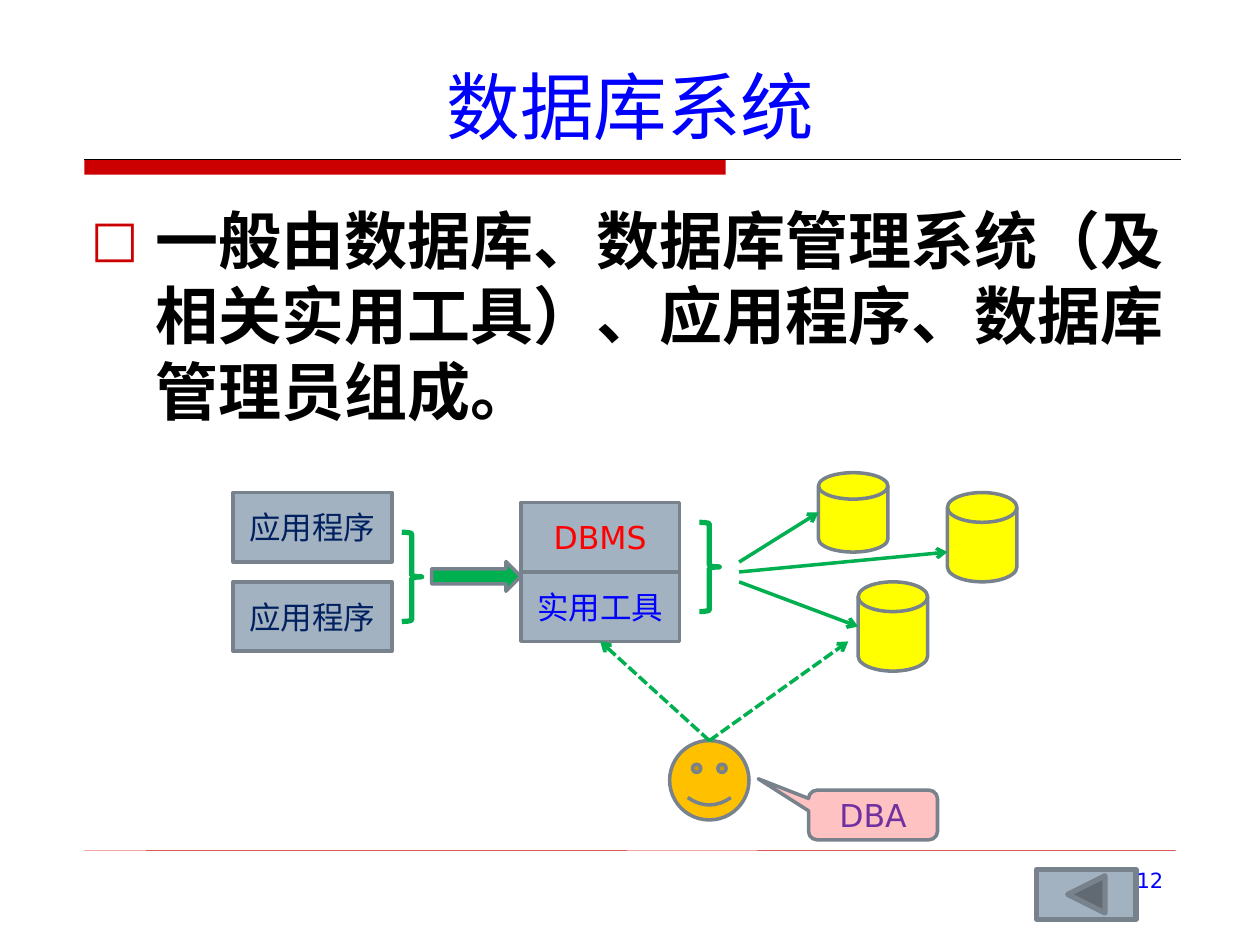
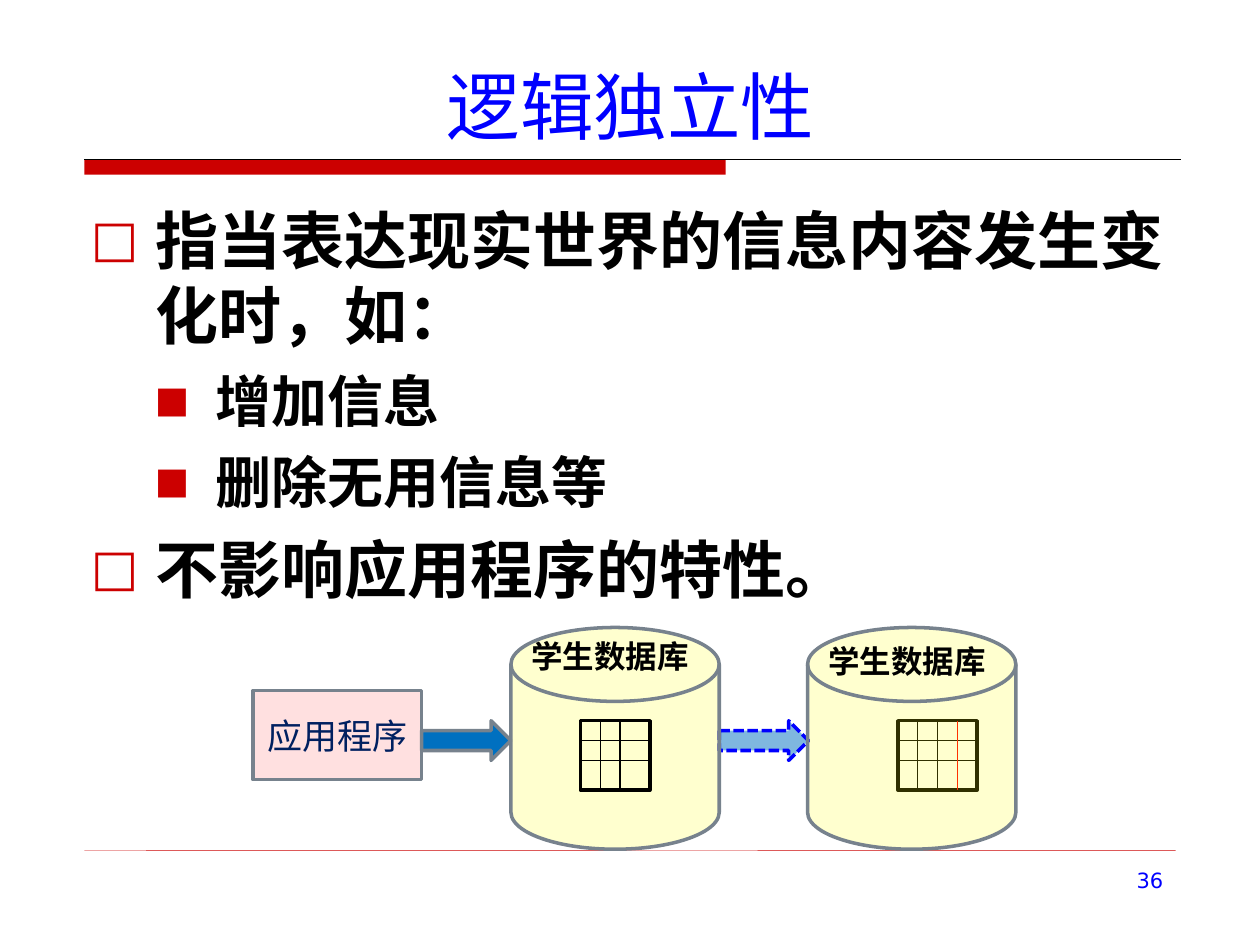
from lxml import etree
from pptx import Presentation
from pptx import util as u
from pptx.dml.color import RGBColor
from pptx.enum import dml, shapes, text
from pptx.oxml.ns import qn

Cm, Pt = u.Cm, u.Pt
KIND = shapes.MSO_SHAPE
ALIGN = text.PP_ALIGN
ANCHOR = text.MSO_ANCHOR
DASH = dml.MSO_LINE.SQUARE_DOT

RED = RGBColor(0xCC, 0x00, 0x00)
BRIGHT = RGBColor(0xFF, 0x00, 0x00)
BLUE = RGBColor(0x00, 0x00, 0xFF)
AZURE = RGBColor(0x00, 0x70, 0xC0)
NAVY = RGBColor(0x00, 0x20, 0x60)
BLACK = RGBColor(0x00, 0x00, 0x00)
STEEL = RGBColor(0xA3, 0xB2, 0xC1)
SLATE = RGBColor(0x77, 0x82, 0x8D)
GREEN = RGBColor(0x00, 0xB0, 0x50)
YELLOW = RGBColor(0xFF, 0xFF, 0x00)
AMBER = RGBColor(0xFF, 0xC0, 0x00)
PINK = RGBColor(0xFF, 0xC2, 0xC2)
PURPLE = RGBColor(0x70, 0x30, 0xA0)

HAN = "Noto Sans CJK SC"
LATIN = "DejaVu Sans"

LEVELS = [
    dict(size=36, before=9, left=1.3, hang=1.4, mark="□", scale=80),
    dict(size=32, before=8, left=2.51, hang=1.22, mark="■", scale=65),
]


def add_xml(parent, tag, **attrs):
    return etree.SubElement(parent, qn(tag), attrs)


def style(para, size, color, name=HAN, bold=False, align=ALIGN.CENTER):
    para.alignment = align
    font = para.font
    font.size, font.bold, font.name = Pt(size), bold, name
    font.color.rgb = color
    add_xml(para._p.pPr.find(qn("a:defRPr")), "a:ea", typeface=name)


def bullet(para, level):
    props = para._p.pPr
    props.set("marL", str(Cm(level["left"])))
    props.set("indent", str(-Cm(level["hang"])))
    color = etree.Element(qn("a:buClr"))
    add_xml(color, "a:srgbClr", val=str(RED))
    marks = [color]
    for tag, key, value in (
        ("a:buSzPct", "val", str(level["scale"] * 1000)),
        ("a:buFont", "typeface", LATIN),
        ("a:buChar", "char", level["mark"]),
    ):
        marks.append(etree.Element(qn(tag), {key: value}))
    fonts = props.find(qn("a:defRPr"))
    for mark in marks:
        fonts.addprevious(mark)


def place(item, left, top, width, height):
    item.left, item.top = Cm(left), Cm(top)
    item.width, item.height = Cm(width), Cm(height)


def title(slide, words):
    item = slide.shapes.title
    place(item, 1.59, 0.84, 22.23, 2.29)
    frame = item.text_frame
    frame.text = words
    frame.auto_size = text.MSO_AUTO_SIZE.NONE
    frame.vertical_anchor = ANCHOR.BOTTOM
    style(frame.paragraphs[0], 42, BLUE)


def body(slide, height, items):
    item = slide.placeholders[1]
    place(item, 1.58, 3.93, 22.23, height)
    frame = item.text_frame
    frame.text = "\n".join(words for _, words in items)
    frame.auto_size = text.MSO_AUTO_SIZE.NONE
    for para, (depth, _) in zip(frame.paragraphs, items):
        level = LEVELS[depth]
        para.level = depth
        para.space_before = Pt(level["before"])
        style(para, level["size"], BLACK, bold=True, align=ALIGN.LEFT)
        bullet(para, level)


def shape(slide, kind, box, fill=None, line=SLATE, weight=2, alpha=None):
    item = slide.shapes.add_shape(kind, *map(Cm, box))
    item.shadow.inherit = False
    if fill is None:
        item.fill.background()
    else:
        item.fill.solid()
        item.fill.fore_color.rgb = fill
    if alpha:
        color = item._element.spPr.find(qn("a:solidFill"))[0]
        add_xml(color, "a:alpha", val=str(alpha * 1000))
    if line is None:
        item.line.fill.background()
    else:
        item.line.color.rgb = line
        item.line.width = Pt(weight)
    return item


def label(item, words, color, size=18, name=HAN):
    frame = item.text_frame
    frame.text = words
    frame.vertical_anchor = ANCHOR.MIDDLE
    style(frame.paragraphs[0], size, color, name)


def note(slide, box, words, size, color, **looks):
    item = slide.shapes.add_textbox(*map(Cm, box))
    frame = item.text_frame
    frame.word_wrap = True
    frame.text = words
    style(frame.paragraphs[0], size, color, **looks)
    return frame


def line(slide, start, end, color, weight, arrow=False, dash=None):
    item = slide.shapes.add_connector(
        shapes.MSO_CONNECTOR.STRAIGHT, *map(Cm, start + end))
    item.line.color.rgb = color
    item.line.width = Pt(weight)
    if dash:
        item.line.dash_style = dash
    if arrow:
        add_xml(item.line._get_or_add_ln(), "a:tailEnd", type="arrow")
    add_xml(item._element.spPr, "a:effectLst")
    return item


def base(deck, heading):
    slide = deck.slides.add_slide(deck.slide_layouts[1])
    shape(slide, KIND.RECTANGLE, (1.7, 3.22, 12.93, 0.3), RED, None)
    line(slide, (1.7, 3.22), (23.8, 3.22), BLACK, 0.5)
    line(slide, (1.7, 17.14), (23.7, 17.15), RED, 0.25)
    title(slide, heading)
    return slide


def number(slide, words):
    note(slide, (18.2, 17.37, 5.5, 1.32), words, 12, BLUE,
         name=LATIN, align=ALIGN.RIGHT)


def grid(slide, left, top, width, cols, last=BLACK):
    step, height = 0.4, 1.4
    shape(slide, KIND.RECTANGLE, (left, top, width, height), line=BLACK)
    for row in (1, 2):
        y = top + row * step
        line(slide, (left, y), (left + width, y), BLACK, 0.75)
    for col in range(1, cols):
        x = left + col * step
        color = last if col == cols - 1 else BLACK
        line(slide, (x, top), (x, top + height), color, 0.75)


def store(slide, left, top):
    shape(slide, KIND.FLOWCHART_MAGNETIC_DISK, (left, 12.65, 4.2, 4.47),
          YELLOW, alpha=19)
    frame = note(slide, (left, top, 4, 1.4), "学生数据库", 18, BLACK, bold=True)
    frame.vertical_anchor = ANCHOR.MIDDLE


def system(deck):
    slide = base(deck, "数据库系统")
    body(slide, 5, [(0, "一般由数据库、数据库管理系统（及相关实用工具）、"
                        "应用程序、数据库管理员组成。")])
    shape(slide, KIND.ACTION_BUTTON_BACK_OR_PREVIOUS, (20.9, 17.53, 2, 1),
          STEEL, weight=3)
    for left, top, height in ((19.1, 9.93, 1.8), (16.5, 9.53, 1.6),
                              (17.3, 11.73, 1.8)):
        shape(slide, KIND.FLOWCHART_MAGNETIC_DISK, (left, top, 1.4, height), YELLOW)
    for left, top, words, color, name in (
        (4.7, 9.93, "应用程序", NAVY, HAN),
        (4.7, 11.73, "应用程序", NAVY, HAN),
        (10.5, 10.13, "DBMS", BRIGHT, LATIN),
        (10.5, 11.53, "实用工具", BLUE, HAN),
    ):
        tool = shape(slide, KIND.RECTANGLE, (left, top, 3.2, 1.4), STEEL)
        label(tool, words, color, name=name)
    face = shape(slide, KIND.SMILEY_FACE, (13.5, 14.93, 1.6, 1.6), AMBER)
    face.adjustments[0] = 0.0465
    shape(slide, KIND.RIGHT_ARROW, (8.7, 11.32, 1.8, 0.6), GREEN)
    for left, top in ((8.1, 10.73), (14.1, 10.53)):
        shape(slide, KIND.RIGHT_BRACE, (left, top, 0.4, 1.8), line=GREEN, weight=3)
    for y, end in ((11.33, (16.5, 10.33)), (11.53, (19.1, 11.13)),
                   (11.73, (17.3, 12.63))):
        line(slide, (14.9, y), end, GREEN, 2, arrow=True)
    head = (14.3, 14.93)
    link = line(slide, head, (12.1, 12.93), GREEN, 2, True, DASH)
    link.end_connect(tool, 2)
    line(slide, head, (17.1, 12.93), GREEN, 2, True, DASH)
    call = shape(slide, KIND.ROUNDED_RECTANGULAR_CALLOUT,
                 (16.3, 15.93, 2.6, 1), PINK)
    for index, value in enumerate((-0.89, -0.73, 0.17)):
        call.adjustments[index] = value
    label(call, "DBA", PURPLE, name=LATIN)
    number(slide, "12")


def logic(deck):
    slide = base(deck, "逻辑独立性")
    body(slide, 8.79, [
        (0, "指当表达现实世界的信息内容发生变化时，如："),
        (1, "增加信息"),
        (1, "删除无用信息等"),
        (0, "不影响应用程序的特性。"),
    ])
    app = shape(slide, KIND.RECTANGLE, (5.1, 13.92, 3.4, 1.8), PINK, alpha=50)
    label(app, "应用程序", NAVY, 20)
    shape(slide, KIND.RIGHT_ARROW, (8.5, 14.53, 1.8, 0.8), AZURE)
    ghost = shape(slide, KIND.RIGHT_ARROW, (14.5, 14.53, 1.8, 0.8),
                  AZURE, BLUE, alpha=50)
    ghost.line.dash_style = DASH
    store(slide, 10.3, 12.52)
    grid(slide, 11.7, 14.53, 1.4, 3)
    grid(slide, 18.1, 14.53, 1.6, 4, BRIGHT)
    store(slide, 16.28, 12.62)
    number(slide, "36")


def main():
    deck = Presentation()
    deck.slide_width, deck.slide_height = Cm(25.4), Cm(19.05)
    system(deck)
    logic(deck)
    deck.save("out.pptx")


if __name__ == "__main__":
    main()
